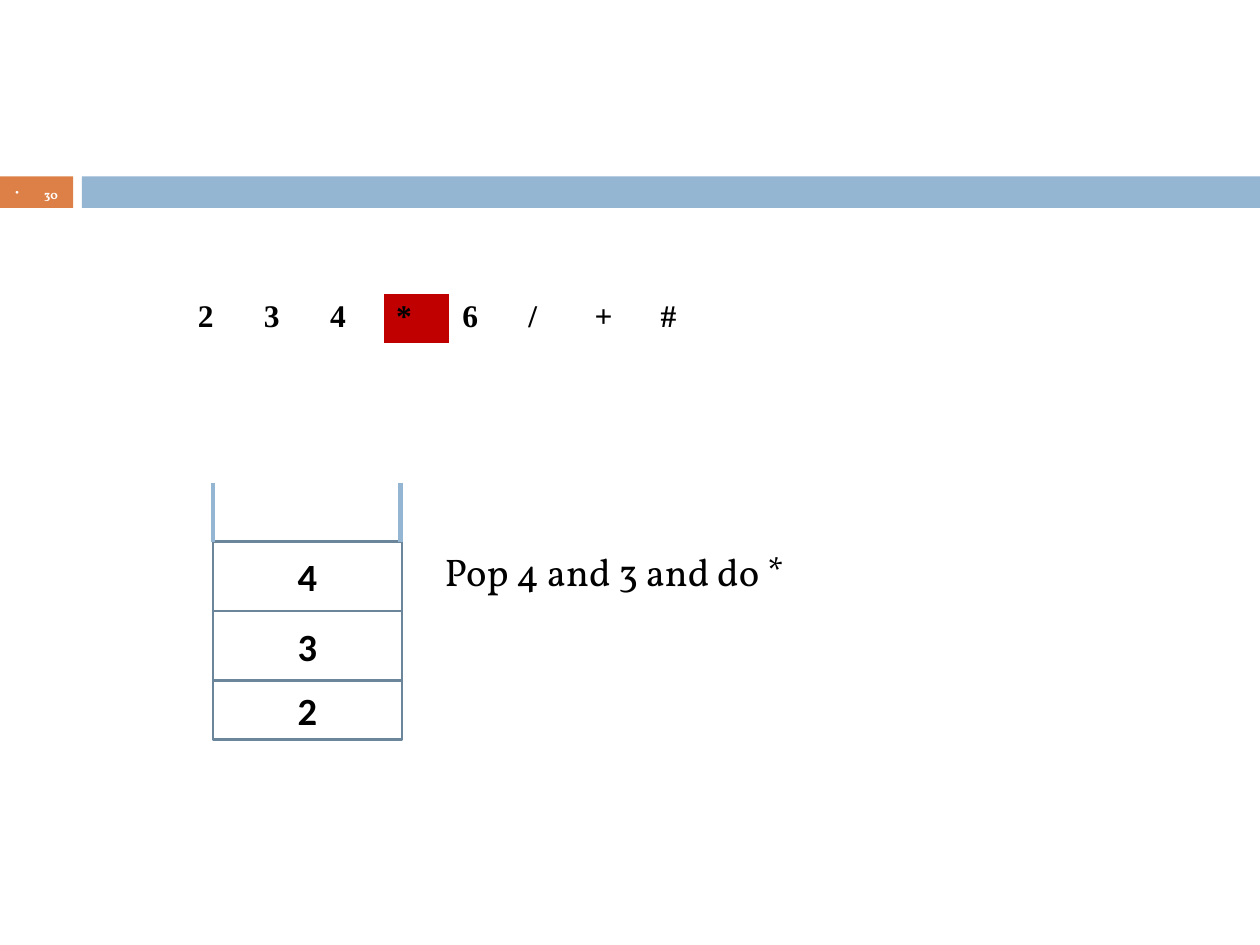
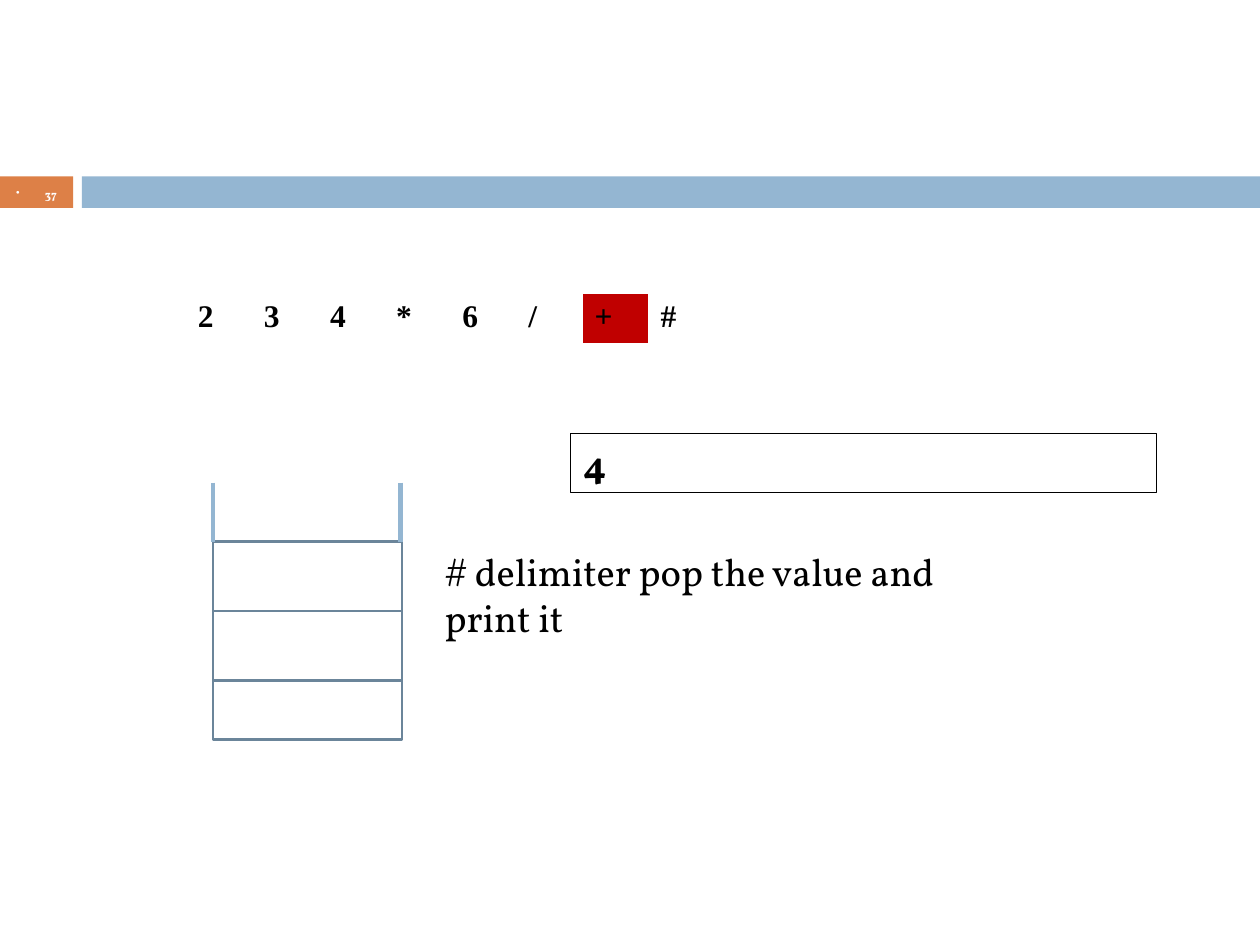
from lxml import etree
from pptx import Presentation
from pptx.dml.color import RGBColor
from pptx.enum import shapes, text
from pptx.oxml import ns
from pptx.util import Inches, Pt

EXPRESSION = ["2", "3", "4", "*", "6", "/", "+", "#"]
STEPS = [
    {"number": "30", "current": 3, "stack": ["4", "3", "2"],
     "note": "Pop 4 and 3 and do *", "note_height": 0.84, "output": None},
    {"number": "37", "current": 6, "stack": ["", "", ""],
     "note": "# delimiter pop the value and print it", "note_height": 1.2,
     "output": "4"},
]


class Theme:
    white, black = "FFFFFF", "000000"
    orange, blue, slate, red = "DD8047", "94B6D2", "6B859A", "C00000"
    number = {"name": "Vollkorn", "size": Pt(7), "bold": True}
    token = {"name": "Times New Roman", "size": Pt(18), "bold": True}
    cell = {"name": "Calibri", "size": Pt(22), "bold": True}
    note = {"name": "Vollkorn", "size": Pt(22), "bold": False}
    output = {"name": "Vollkorn", "size": Pt(22), "bold": True}


BAND_TOP, BAND_HEIGHT = 1.4, 0.25
TOKENS_AT, TOKEN_WIDTH, TOKEN_HEIGHT = (1.47, 2.33), 0.525, 0.4
STACK_LEFT, STACK_TOP, STACK_WIDTH = 1.69, 4.3, 1.5
STACK_HEIGHTS = [0.55, 0.55, 0.47]
RAIL_TOP, RAIL_XS = 3.83, (1.69, 3.18)
NOTE_LEFT, NOTE_WIDTH = 3.43, 4.49
OUTPUT_AT = (4.53, 3.44, 4.65, 0.47)


def rgb(value):
    return RGBColor.from_string(value)


def add_xml(parent, tag, **attributes):
    return etree.SubElement(parent, ns.qn(tag), attributes)


def write(tf, content, style, color=Theme.black, align=text.PP_ALIGN.LEFT,
          anchor=text.MSO_ANCHOR.TOP):
    """Fill the first paragraph of a text frame and return it."""
    tf.word_wrap = True
    tf.vertical_anchor = anchor
    p = tf.paragraphs[0]
    p.alignment = align
    r = p.add_run()
    r.text = content
    for name, value in style.items():
        setattr(r.font, name, value)
    r.font.color.rgb = rgb(color)
    return p


def add_box(s, at, fill, line=None, width=1.5):
    box = s.shapes.add_shape(shapes.MSO_SHAPE.RECTANGLE, *map(Inches, at))
    box.shadow.inherit = False
    box.fill.solid()
    box.fill.fore_color.rgb = rgb(fill)
    if line:
        box.line.color.rgb = rgb(line)
        box.line.width = Pt(width)
    else:
        box.line.fill.background()
    return box


def add_header(s, number):
    add_box(s, (0, BAND_TOP, 0.58, BAND_HEIGHT), Theme.orange)
    add_box(s, (0.65, BAND_TOP, 9.35, BAND_HEIGHT), Theme.blue)
    label = s.shapes.add_textbox(*map(Inches, (0, 1.39, 0.58, 0.27)))
    p = write(label.text_frame, number, Theme.number, Theme.white,
              text.PP_ALIGN.CENTER, text.MSO_ANCHOR.MIDDLE)
    pPr = p._p.get_or_add_pPr()
    indent = Inches(0.23)
    pPr.set("marL", str(indent))
    pPr.set("indent", str(-indent))
    add_xml(add_xml(pPr, "a:buClr"), "a:srgbClr", val=Theme.white)
    add_xml(pPr, "a:buSzPct", val="85000")
    add_xml(pPr, "a:buChar", char="•")
    p.line_spacing = 1.3


def add_borders(cell):
    tcPr = cell._tc.get_or_add_tcPr()
    for side, width in (("L", 0.45), ("R", 0.45), ("T", 0.45), ("B", 1.47)):
        line = add_xml(tcPr, f"a:ln{side}", w=str(Pt(width)))
        add_xml(add_xml(line, "a:solidFill"), "a:srgbClr", val=Theme.white)


def add_expression(s, current):
    """Lay out the tokens in one row and mark the current one."""
    size = (TOKEN_WIDTH * len(EXPRESSION), TOKEN_HEIGHT)
    table = s.shapes.add_table(1, len(EXPRESSION),
                               *map(Inches, TOKENS_AT + size)).table
    table.first_row = table.horz_banding = False
    for i, token in enumerate(EXPRESSION):
        table.columns[i].width = Inches(TOKEN_WIDTH)
        cell = table.cell(0, i)
        write(cell.text_frame, token, Theme.token)
        add_borders(cell)
        cell.fill.solid()
        cell.fill.fore_color.rgb = rgb(Theme.red if i == current else Theme.white)


def add_stack(s, values):
    """Draw the cells from the bottom up, then the open rails above them."""
    levels = list(zip(values, STACK_HEIGHTS))
    bottom = STACK_TOP + sum(STACK_HEIGHTS)
    for value, height in reversed(levels):
        bottom -= height
        box = add_box(s, (STACK_LEFT, bottom, STACK_WIDTH, height),
                      Theme.white, Theme.slate)
        if value:
            write(box.text_frame, value, Theme.cell,
                  align=text.PP_ALIGN.CENTER, anchor=text.MSO_ANCHOR.MIDDLE)
    for x in RAIL_XS:
        rail = s.shapes.add_connector(shapes.MSO_CONNECTOR.STRAIGHT,
                                      *map(Inches, (x, RAIL_TOP, x, STACK_TOP)))
        rail.line.color.rgb = rgb(Theme.blue)
        rail.line.width = Pt(2.5)
        add_xml(rail._element.spPr, "a:effectLst")


def add_step(prs, step):
    s = prs.slides.add_slide(prs.slide_layouts[6])
    add_header(s, step["number"])
    add_expression(s, step["current"])
    add_stack(s, step["stack"])
    if step["output"]:
        box = add_box(s, OUTPUT_AT, Theme.white, Theme.black, 0.75)
        write(box.text_frame, step["output"], Theme.output)
    note = s.shapes.add_textbox(*map(Inches, (
        NOTE_LEFT, STACK_TOP, NOTE_WIDTH, step["note_height"])))
    write(note.text_frame, step["note"], Theme.note)


def main():
    prs = Presentation()
    prs.slide_width, prs.slide_height = Inches(10), Inches(7.5)
    for step in STEPS:
        add_step(prs, step)
    prs.save("out.pptx")


if __name__ == "__main__":
    main()
